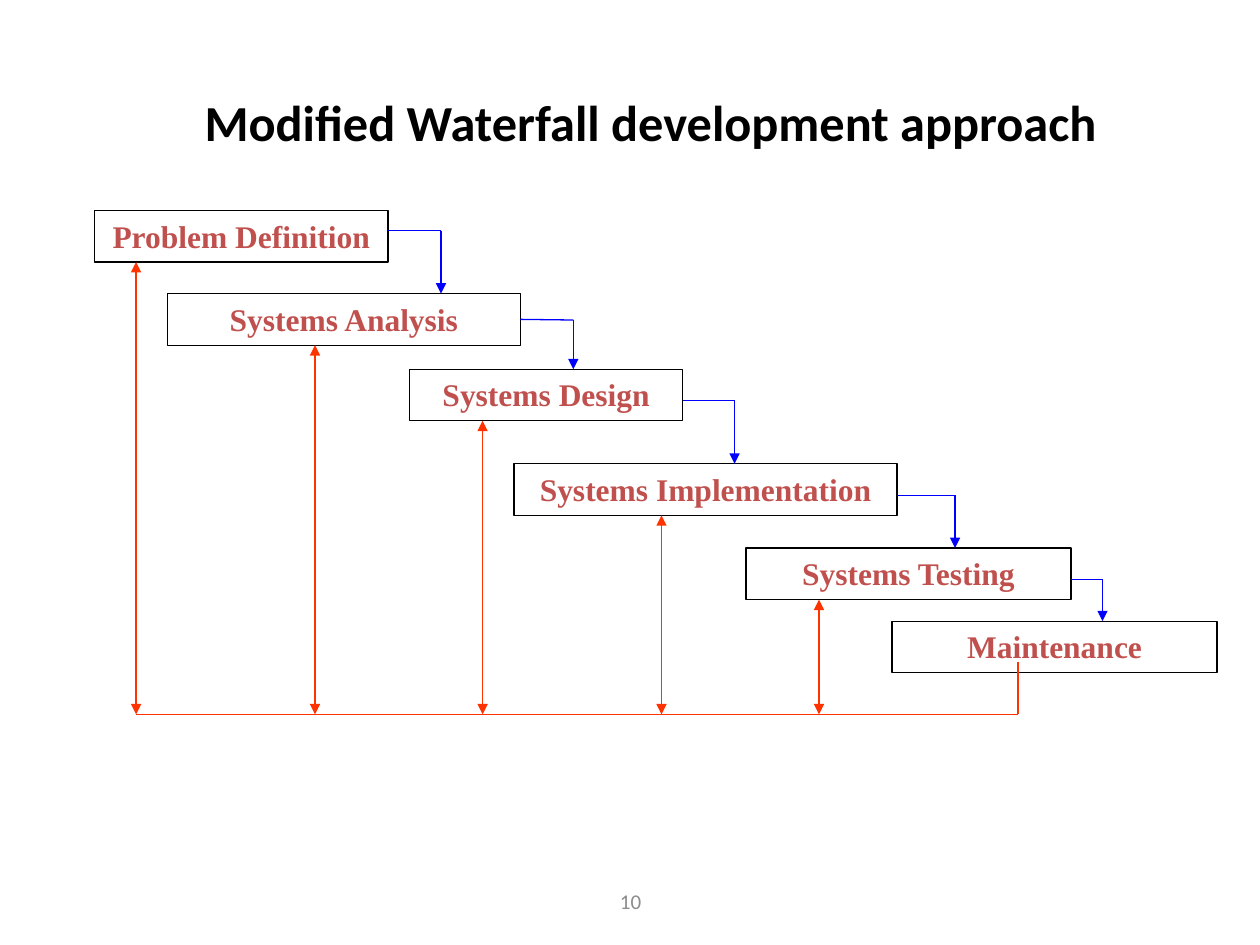
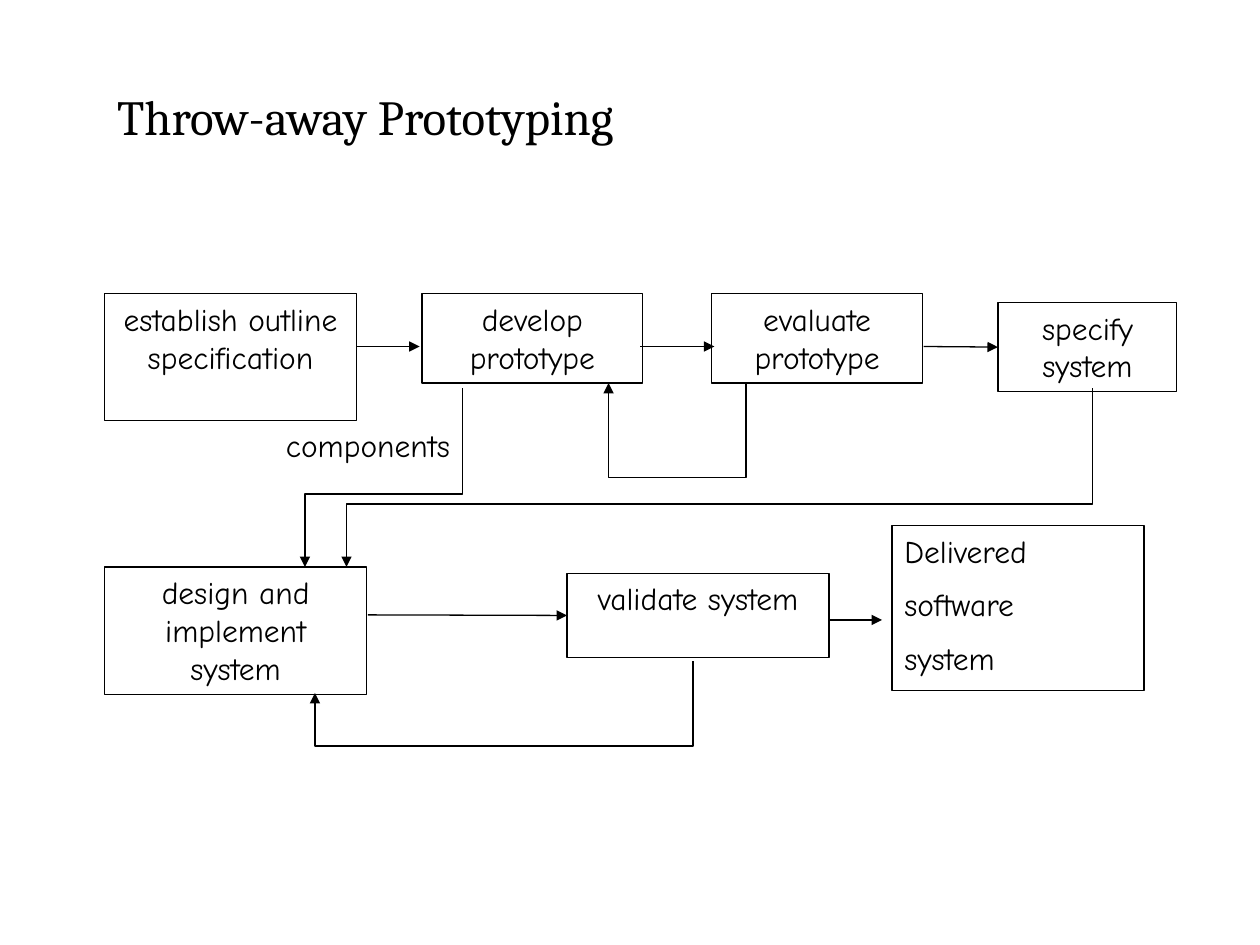
from itertools import pairwise

from pptx import Presentation
from pptx.dml.color import RGBColor
from pptx.enum.shapes import MSO_CONNECTOR, MSO_SHAPE
from pptx.enum.text import MSO_ANCHOR, PP_ALIGN
from pptx.oxml.ns import qn
from pptx.util import Inches, Pt
from lxml.etree import SubElement

BLACK = RGBColor(0x00, 0x00, 0x00)
GREY = RGBColor(0x8C, 0x8C, 0x8C)
STEP_TEXT = RGBColor(0xC0, 0x50, 0x4D)
FORWARD = RGBColor(0x00, 0x00, 0xFF)
FEEDBACK = RGBColor(0xFF, 0x33, 0x00)

LINE_WIDTH = Pt(0.75)
TITLE_ONLY = 5
LEFT_SIDE, RIGHT_SIDE = 1, 3

# Waterfall: name, left, top, width, exit height, x of drop arrow, x of feedback arrow
STEPS = [
    ("Problem Definition", 0.75, 1.67, 2.33, 1.83, 3.5, 1.08),
    ("Systems Analysis", 1.33, 2.33, 2.8, 2.54, 4.55, 2.5),
    ("Systems Design", 3.25, 2.93, 2.17, 3.18, 5.83, 3.83),
    ("Systems Implementation", 4.08, 3.68, 3.04, 3.93, 7.58, 5.25),
    ("Systems Testing", 5.92, 4.35, 2.58, 4.6, 8.75, 6.5),
    ("Maintenance", 7.08, 4.93, 2.58, None, None, None),
]
STEP_HEIGHT = 0.41
RETURN_Y = 5.67
RETURN_START = (8.08, 5.25)

# Prototyping: lines, (left, top, width, height), alignment
ACTIVITIES = {
    "specify": (["specify system"], (7.92, 2.4, 1.42, 0.71), PP_ALIGN.CENTER),
    "establish": (["establish outline specification"], (0.83, 2.33, 2, 1.01), PP_ALIGN.CENTER),
    "evaluate": (["evaluate prototype"], (5.65, 2.33, 1.67, 0.71), PP_ALIGN.CENTER),
    "develop": (["develop prototype"], (3.35, 2.33, 1.75, 0.71), PP_ALIGN.CENTER),
    "validate": (["validate system"], (4.5, 4.55, 2.08, 0.67), PP_ALIGN.CENTER),
    "design": (["design and implement system"], (0.83, 4.5, 2.08, 1.01), PP_ALIGN.CENTER),
    "deliver": (["Delivered", "software", "system"], (7.08, 4.17, 2, 1.31), PP_ALIGN.LEFT),
}
# start, end, activity whose left side the arrow joins
FLOWS = [
    ((2.83, 2.75), (3.33, 2.75), None),
    ((5.08, 2.75), (5.67, 2.75), None),
    ((7.33, 2.75), (7.92, 2.75), "specify"),
    ((2.92, 4.88), (4.5, 4.88), "validate"),
    ((6.58, 4.92), (7, 4.92), None),
]
# start x, start y, turn y, end x, end y
BENT_FLOWS = [
    (3.67, 3.08, 3.92, 2.42, 4.5),
    (5.92, 3.04, 3.79, 4.83, 3.04),
    (8.67, 3.08, 4, 2.75, 4.5),
    (5.5, 5.25, 5.92, 2.5, 5.5),
]


def inches(values):
    return [Inches(value) for value in values]


def style_font(font, name, size, color, bold=False):
    font.name, font.size, font.bold = name, Pt(size), bold
    font.color.rgb = color


def write(shape, lines, align, *font_style):
    frame = shape.text_frame
    frame.word_wrap = True
    frame.text = "\n".join(lines)
    for index, paragraph in enumerate(frame.paragraphs):
        paragraph.alignment = align
        if index:
            paragraph.space_before = Pt(9)
        style_font(paragraph.font, *font_style)


def add_titled_slide(deck, title, place, align, *font_style):
    slide = deck.slides.add_slide(deck.slide_layouts[TITLE_ONLY])
    heading = slide.shapes.title
    heading.left, heading.top, heading.width, heading.height = inches(place)
    write(heading, [title], align, *font_style)
    heading.text_frame.vertical_anchor = MSO_ANCHOR.MIDDLE
    return slide


def add_box(slide, lines, place, align, *font_style):
    box = slide.shapes.add_shape(MSO_SHAPE.RECTANGLE, *inches(place))
    box.shadow.inherit = False
    box.fill.background()
    box.line.color.rgb = BLACK
    box.line.width = LINE_WIDTH
    write(box, lines, align, *font_style)
    box.text_frame.vertical_anchor = MSO_ANCHOR.TOP
    return box


def add_label(slide, text, place, *font_style):
    label = slide.shapes.add_textbox(*inches(place))
    write(label, [text], PP_ALIGN.CENTER, *font_style)
    return label


def style_line(line, color, *arrow_ends):
    """Colour a line; arrow_ends may hold headEnd (start) and tailEnd (end), in that order."""
    line.color.rgb = color
    line.width = LINE_WIDTH
    for end in arrow_ends:
        SubElement(line._get_or_add_ln(), qn(f"a:{end}"), type="triangle")


def add_line(slide, start, end, color, *arrow_ends):
    connector = slide.shapes.add_connector(MSO_CONNECTOR.STRAIGHT, *inches(start + end))
    style_line(connector.line, color, *arrow_ends)
    SubElement(connector._element.spPr, qn("a:effectLst"))
    return connector


def add_bent_arrow(slide, start_x, start_y, turn_y, end_x, end_y):
    builder = slide.shapes.build_freeform(Inches(start_x), Inches(start_y))
    turns = [(start_x, turn_y), (end_x, turn_y), (end_x, end_y)]
    builder.add_line_segments([inches(point) for point in turns], close=False)
    arrow = builder.convert_to_shape()
    arrow.shadow.inherit = False
    arrow.fill.background()
    style_line(arrow.line, BLACK, "tailEnd")


def build_waterfall(deck):
    slide = add_titled_slide(deck, "Modified Waterfall development approach",
                             (0, 0.67, 10.33, 0.58), PP_ALIGN.CENTER,
                             "Calibri", 28.8, BLACK, True)
    page_number = add_label(slide, "10", (3.42, 6.95, 3.17, 0.4), "Calibri", 12, GREY)
    page_number.text_frame.vertical_anchor = MSO_ANCHOR.MIDDLE

    boxes = [add_box(slide, [name], (left, top, width, STEP_HEIGHT), PP_ALIGN.CENTER,
                     "Times New Roman", 18, STEP_TEXT, True)
             for name, left, top, width, *_ in STEPS]

    for box, (step, following) in zip(boxes, pairwise(STEPS)):
        _, left, top, width, exit_y, drop_x, feedback_x = step
        exit_line = add_line(slide, (left + width, exit_y), (drop_x, exit_y), FORWARD)
        if abs(exit_y - top - STEP_HEIGHT / 2) < 0.01:
            exit_line.begin_connect(box, RIGHT_SIDE)
        add_line(slide, (drop_x, exit_y), (drop_x, following[2]), FORWARD, "tailEnd")
        add_line(slide, (feedback_x, RETURN_Y), (feedback_x, top + STEP_HEIGHT),
                 FEEDBACK, "headEnd", "tailEnd")

    return_corner = (RETURN_START[0], RETURN_Y)
    add_line(slide, RETURN_START, return_corner, FEEDBACK)
    add_line(slide, return_corner, (STEPS[0][-1], RETURN_Y), FEEDBACK)


def build_prototyping(deck):
    slide = add_titled_slide(deck, "Throw-away Prototyping", (0.83, 0.42, 8.5, 1),
                             PP_ALIGN.LEFT, "Cambria", 28, BLACK)
    activity_font = ("Comic Neue", 18, BLACK)
    boxes = {key: add_box(slide, lines, place, align, *activity_font)
             for key, (lines, place, align) in ACTIVITIES.items()}
    add_label(slide, "components", (1.88, 3.33, 2.08, 0.4), *activity_font)

    for start, end, target in FLOWS:
        arrow = add_line(slide, start, end, BLACK, "tailEnd")
        if target:
            arrow.end_connect(boxes[target], LEFT_SIDE)
    for bend in BENT_FLOWS:
        add_bent_arrow(slide, *bend)


def main():
    deck = Presentation()
    deck.slide_width, deck.slide_height = Inches(10), Inches(7.5)
    build_waterfall(deck)
    build_prototyping(deck)
    deck.save("out.pptx")


if __name__ == "__main__":
    main()
